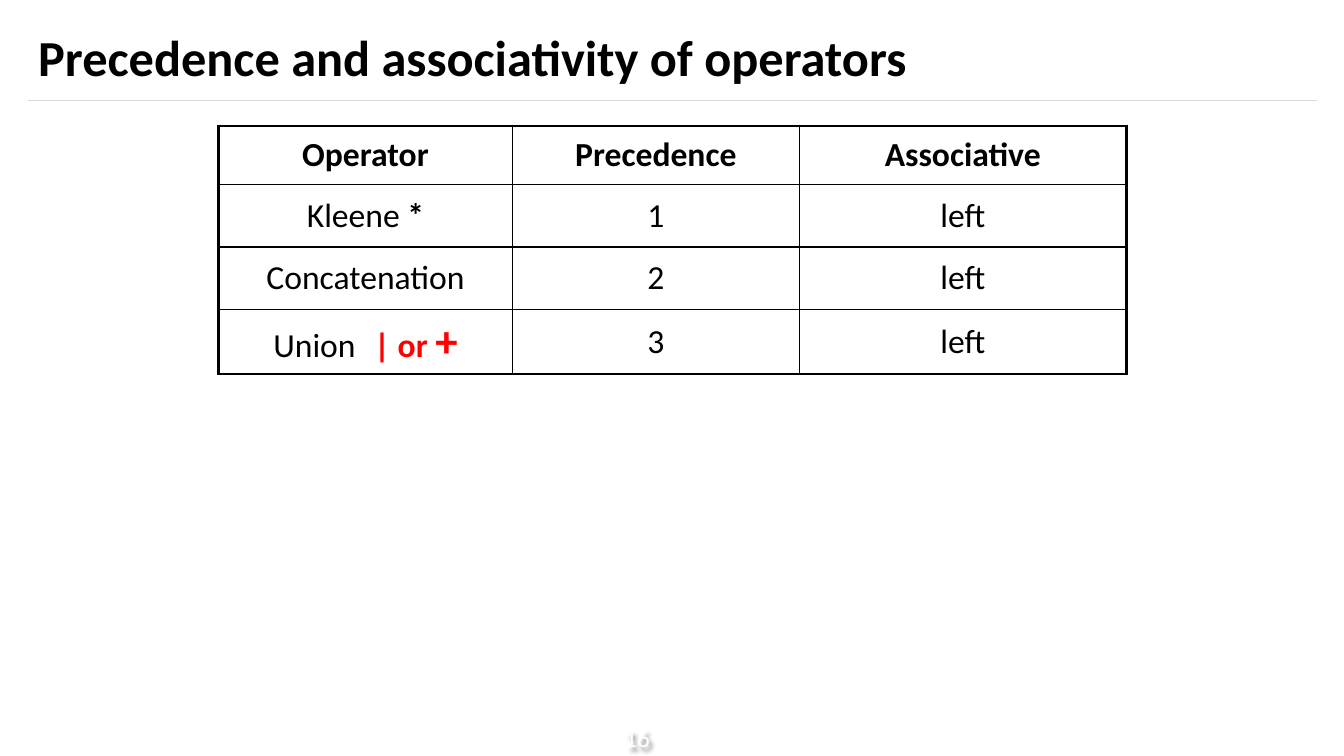
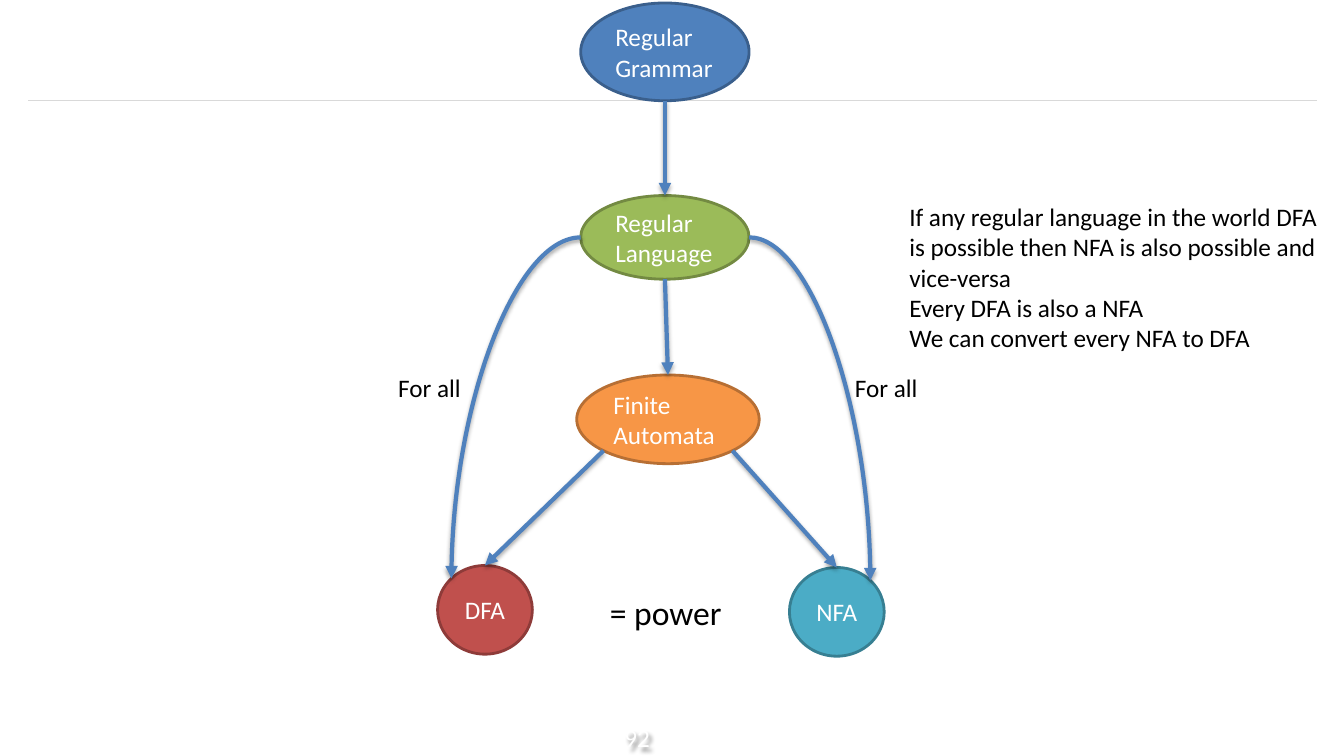
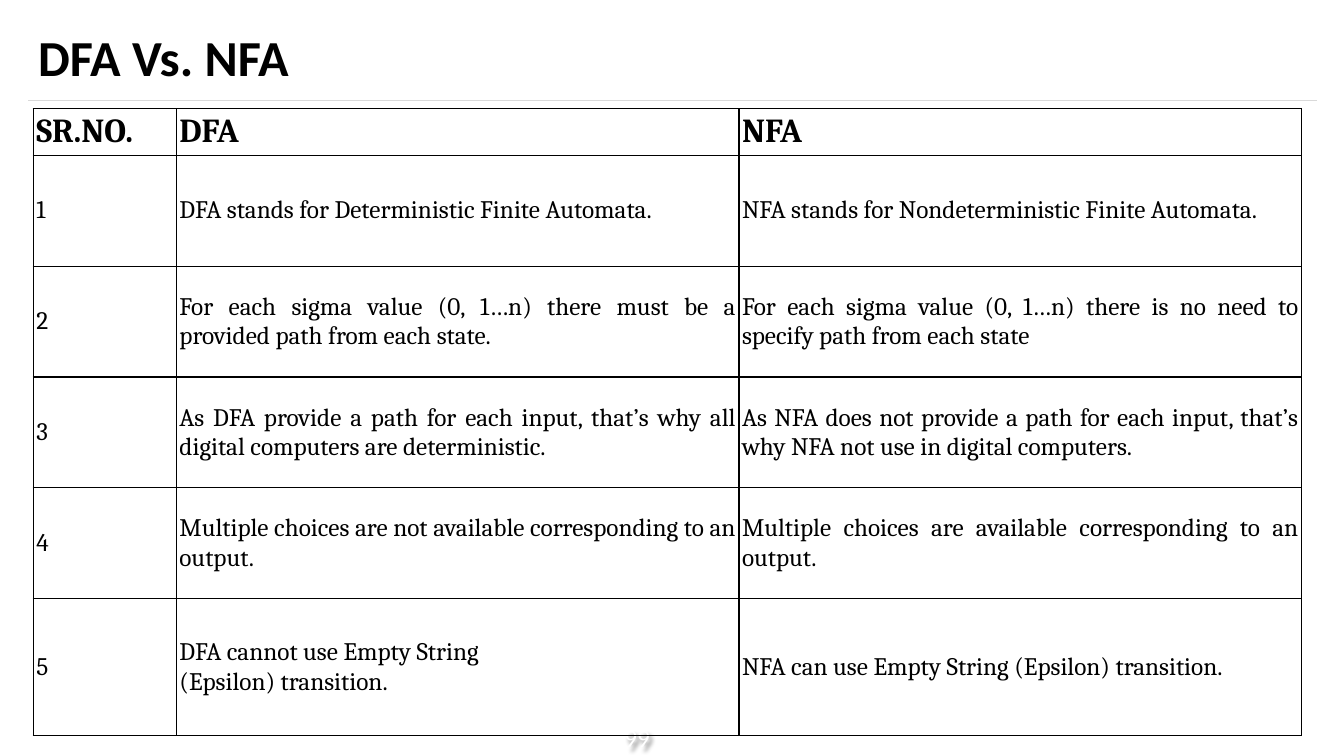
from math import cos, radians, sin

from lxml.etree import SubElement
from pptx import Presentation
from pptx.dml.color import RGBColor
from pptx.enum.shapes import MSO_CONNECTOR, MSO_SHAPE
from pptx.enum.text import MSO_ANCHOR, PP_ALIGN
from pptx.oxml import parse_xml
from pptx.oxml.ns import nsdecls, qn
from pptx.util import Inches, Pt

COLORS = {
    "black": "000000", "white": "FFFFFF", "red": "FF0000", "rule": "D9D9D9",
    "blue": "4F81BD", "blue edge": "3A5F8C",
    "green": "9BBB59", "green edge": "738A42",
    "orange": "F79646", "orange edge": "B76F34",
    "brick": "C0504D", "brick edge": "8E3B39",
    "teal": "4BACC6", "teal edge": "377F92",
}
COLORS = {name: RGBColor.from_string(value) for name, value in COLORS.items()}
SHADOW = (
    "<a:effectLst %s>" % nsdecls("a")
    + '<a:outerShdw blurRad="{blur}" dist="{distance}" dir="{angle}" rotWithShape="0">'
    '<a:srgbClr val="000000"><a:alpha val="{alpha}"/></a:srgbClr>'
    "</a:outerShdw></a:effectLst>"
)


def write(frame, content, size=18, bold=False, color="black", font="Calibri",
          align=PP_ALIGN.LEFT, anchor=MSO_ANCHOR.TOP, wrap=True):
    """Fill a frame or cell; content is lines of text or a list of (text, format) runs."""
    if anchor != MSO_ANCHOR.TOP:
        frame.vertical_anchor = anchor
    text_frame = getattr(frame, "text_frame", frame)
    text_frame.word_wrap = wrap
    if isinstance(content, str):
        lines = [[(line, {})] for line in content.split("\n")]
    else:
        lines = [content]
    for number, line in enumerate(lines):
        para = text_frame.add_paragraph() if number else text_frame.paragraphs[0]
        para.alignment = align
        for text, changes in line:
            span = para.add_run()
            span.text = text
            span.font.name = font
            span.font.size = Pt(changes.get("size", size))
            span.font.bold = changes.get("bold", bold)
            span.font.color.rgb = COLORS[changes.get("color", color)]


def draw_table(page, left, top, widths, heights, rows, outer, inset, body_size, **style):
    """Draw a ruled table with a bold 24 pt header and an outer border width in points."""
    table = page.shapes.add_table(
        len(rows), len(widths), Inches(left), Inches(top),
        Inches(sum(widths)), Inches(sum(heights))).table
    table.first_row = table.horz_banding = False
    for column, width in zip(table.columns, widths):
        column.width = Inches(width)
    for r, contents in enumerate(rows):
        table.rows[r].height = Inches(heights[r])
        for c, content in enumerate(contents):
            cell = table.cell(r, c)
            cell.margin_left = cell.margin_right = Inches(inset[0])
            cell.margin_top = cell.margin_bottom = Inches(inset[1])
            edges = {"L": c == 0, "R": c == len(widths) - 1,
                     "T": r == 0, "B": r == len(rows) - 1}
            for side, is_outer in edges.items():
                border = SubElement(cell._tc.get_or_add_tcPr(), qn("a:ln" + side))
                border.set("w", str(Pt(outer if is_outer else 1)))
                fill = SubElement(border, qn("a:solidFill"))
                SubElement(fill, qn("a:srgbClr")).set("val", str(COLORS["black"]))
            cell.fill.background()
            write(cell, content, size=body_size if r else 24, bold=r == 0,
                  anchor=MSO_ANCHOR.MIDDLE, **style)


deck = Presentation()
deck.slide_width, deck.slide_height = Inches(13.33), Inches(7.5)

# Shared frame: rule, page number and title
pages = []
for number, title in [("16", "Precedence and associativity of operators"),
                      ("92", None), ("99", "DFA Vs. NFA")]:
    page = deck.slides.add_slide(deck.slide_layouts[6])
    pages.append(page)
    rule = page.shapes.add_connector(
        MSO_CONNECTOR.STRAIGHT, Inches(0.28), Inches(1), Inches(13.06), Inches(1))
    rule.line.color.rgb = COLORS["rule"]
    rule.line.width = Pt(0.75)
    SubElement(rule._element.spPr, qn("a:effectLst"))
    box = page.shapes.add_textbox(Inches(5.86), Inches(7.12), Inches(0.92), Inches(0.4))
    write(box.text_frame, number, color="white", align=PP_ALIGN.CENTER,
          anchor=MSO_ANCHOR.MIDDLE)
    box._element.spPr.append(parse_xml(SHADOW.format(
        blur=Pt(3), distance=Pt(3), angle=45 * 60000, alpha=43000)))
    if title:
        box = page.shapes.add_textbox(
            Inches(0.28), Inches(0.12), Inches(12.78), Inches(0.88))
        write(box.text_frame, title, size=36, bold=True, anchor=MSO_ANCHOR.MIDDLE)
precedence_page, diagram_page, comparison_page = pages

# Operator precedence
red = {"color": "red", "bold": True}
draw_table(
    precedence_page, 2.17, 1.25, [2.91, 2.85, 3.24], [0.58, 0.62, 0.62, 0.64],
    [["Operator", "Precedence", "Associative"],
     [[("Kleene ", {}), ("*", {"bold": True})], "1", "left"],
     ["Concatenation", "2", "left"],
     [[("Union \t", {}), ("| or ", red), ("+", {**red, "size": 32})], "3", "left"]],
    outer=2.25, inset=(0.1, 0.05), body_size=24, align=PP_ALIGN.CENTER)

# Ovals of the language diagram
ovals = {}
for name, text, left, top, width, height, color, align in [
    ("grammar", "Regular\nGrammar", 5.76, 0.03, 1.67, 0.97, "blue", PP_ALIGN.LEFT),
    ("language", "Regular\nLanguage", 5.76, 1.94, 1.67, 0.83, "green", PP_ALIGN.LEFT),
    ("automata", "Finite Automata", 5.72, 3.72, 1.81, 0.88, "orange", PP_ALIGN.LEFT),
    ("dfa", "DFA", 4.34, 5.61, 0.94, 0.88, "brick", PP_ALIGN.CENTER),
    ("nfa", "NFA", 7.83, 5.63, 0.94, 0.88, "teal", PP_ALIGN.CENTER),
]:
    oval = diagram_page.shapes.add_shape(
        MSO_SHAPE.OVAL, Inches(left), Inches(top), Inches(width), Inches(height))
    oval.shadow.inherit = False
    oval.fill.solid()
    oval.fill.fore_color.rgb = COLORS[color]
    oval.line.color.rgb = COLORS[color + " edge"]
    oval.line.width = Pt(2)
    write(oval.text_frame, text, color="white", align=align, anchor=MSO_ANCHOR.MIDDLE)
    ovals[name] = oval

# Arrows: an oval has eight sites, counted anticlockwise from the top
for start, start_site, end, end_site, curved in [
    ("grammar", 4, "language", 0, False),
    ("language", 4, "automata", 0, False),
    ("automata", 3, "dfa", 0, False),
    ("automata", 5, "nfa", 0, False),
    ("language", 2, "dfa", 1, True),
    ("language", 6, "nfa", 7, True),
]:
    ends = [("a:stCxn", ovals[start], start_site), ("a:endCxn", ovals[end], end_site)]
    points = []
    for tag, oval, site in ends:
        angle = radians(90 + 45 * site)
        points += [round(oval.left + oval.width / 2 * (1 + cos(angle))),
                   round(oval.top + oval.height / 2 * (1 - sin(angle)))]
    kind = MSO_CONNECTOR.CURVE if curved else MSO_CONNECTOR.STRAIGHT
    arrow = diagram_page.shapes.add_connector(kind, *points)
    arrow.line.color.rgb = COLORS["blue"]
    arrow.line.width = Pt(3)
    SubElement(arrow.line._get_or_add_ln(), qn("a:tailEnd")).set("type", "triangle")
    properties = arrow._element.spPr
    properties.append(parse_xml(SHADOW.format(
        blur=Pt(3.1), distance=Pt(1.8), angle=90 * 60000, alpha=35000)))
    if curved:
        properties.find(qn("a:prstGeom")).set("prst", "curvedConnector2")
    joints = arrow._element.find(".//" + qn("p:cNvCxnSpPr"))
    for tag, oval, site in ends:
        joint = SubElement(joints, qn(tag))
        joint.set("id", str(oval.shape_id))
        joint.set("idx", str(site))

# Labels and remarks
remarks = ("If any regular language in the world DFA is possible then NFA is also "
           "possible and vice-versa\nEvery DFA is also a NFA\n"
           "We can convert every NFA to DFA")
for text, left, top, width, height, size, wrap in [
    ("For all", 3.85, 3.64, 0.83, 0.4, 18, False),
    ("For all", 8.38, 3.64, 0.83, 0.4, 18, False),
    ("= power", 5.95, 5.82, 1.32, 0.5, 24, False),
    (remarks, 8.92, 1.95, 4.42, 1.62, 18, True),
]:
    box = diagram_page.shapes.add_textbox(
        Inches(left), Inches(top), Inches(width), Inches(height))
    write(box.text_frame, text, size=size, wrap=wrap)

# DFA and NFA compared
draw_table(
    comparison_page, 0.33, 1.08, [1.42, 5.58, 5.58], [0.43] + [1.1] * 4 + [1.36],
    [["SR.NO.", "DFA", "NFA"],
     ["1", "DFA stands for Deterministic Finite Automata.",
      "NFA stands for Nondeterministic Finite Automata."],
     ["2", "For each sigma value (0, 1…n) there must be a provided path from each state.",
      "For each sigma value (0, 1…n) there is no need to specify path from each state"],
     ["3", "As DFA provide a path for each input, that’s why all digital computers "
      "are deterministic.",
      "As NFA does not provide a path for each input, that’s why NFA not use in "
      "digital computers."],
     ["4", "Multiple choices are not available corresponding to an output.",
      "Multiple choices are available corresponding to an output."],
     ["5", "DFA cannot use Empty String\n(Epsilon) transition.",
      "NFA can use Empty String (Epsilon) transition."]],
    outer=1, inset=(0.03, 0.03), body_size=18, font="Cambria", align=PP_ALIGN.JUSTIFY)

deck.save("out.pptx")
